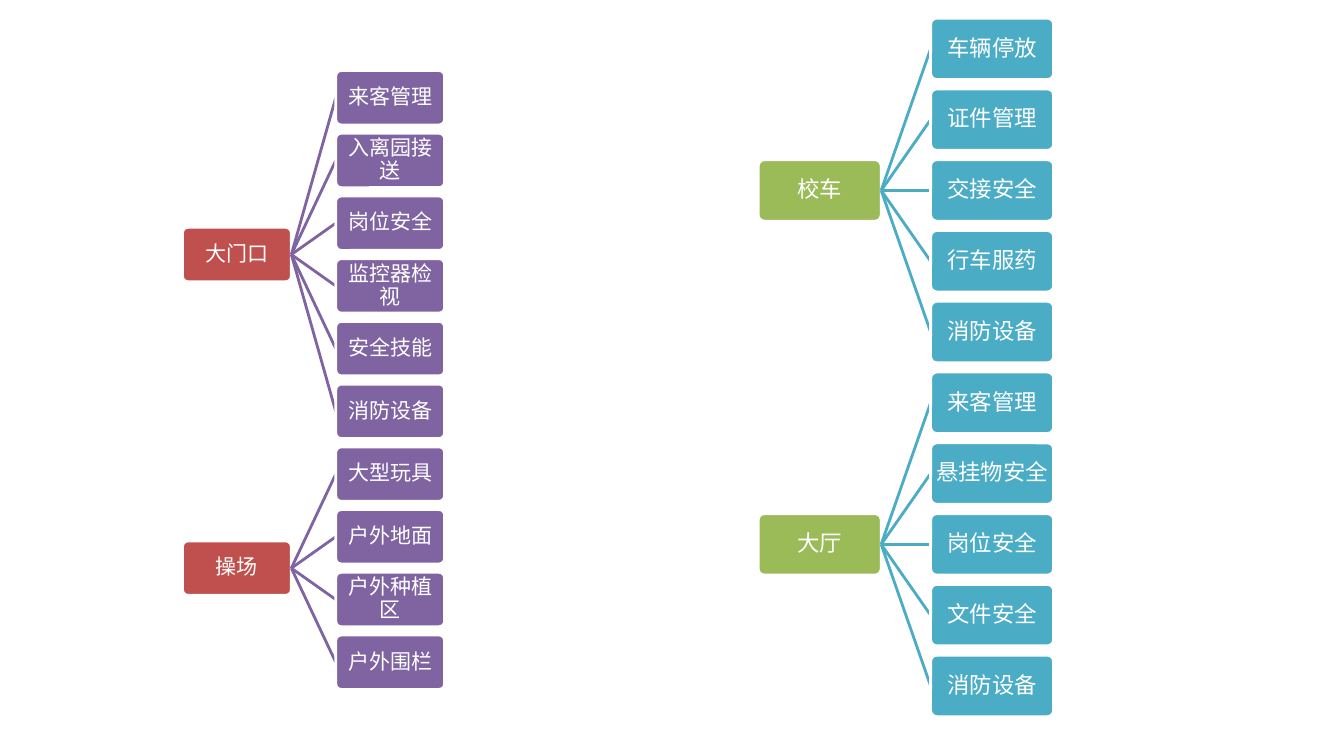
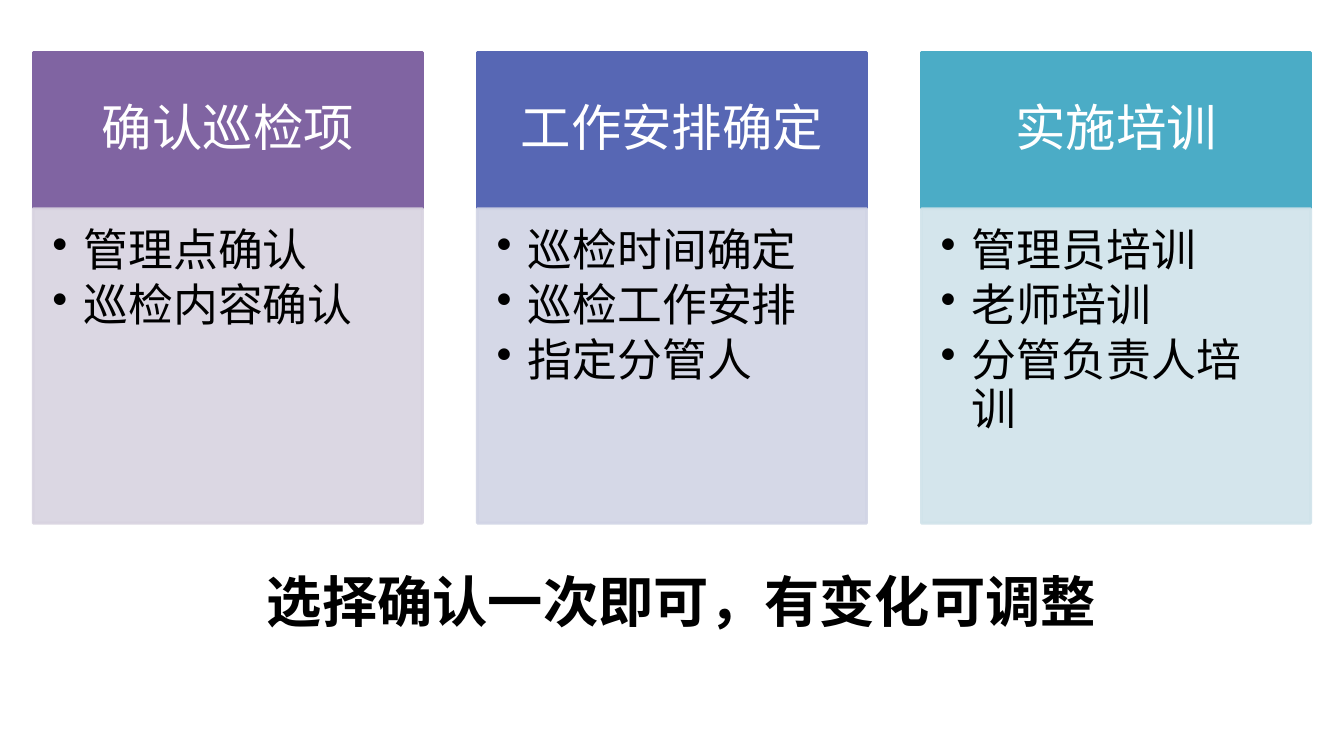
from dataclasses import dataclass

from lxml.etree import SubElement
from pptx import Presentation
from pptx.dml.color import RGBColor
from pptx.enum.shapes import MSO_CONNECTOR, MSO_SHAPE
from pptx.enum.text import MSO_ANCHOR, PP_ALIGN
from pptx.oxml.ns import qn
from pptx.util import Inches, Pt


@dataclass(frozen=True)
class Theme:
    white: str = "FFFFFF"
    black: str = "000000"
    red: str = "C0504D"
    green: str = "9BBB59"
    purple: str = "8064A2"
    indigo: str = "5767B4"
    teal: str = "4BACC6"
    pale_purple: str = "D8D3E0"
    pale_indigo: str = "D1D4E5"
    pale_teal: str = "D0E3EA"
    font: str = "Calibri"
    closing_font: str = "Noto Sans CJK SC"
    heading_size: float = 36
    body_size: float = 32
    closing_size: float = 39.5
    line_width: float = 2


T = Theme()

# Content: areas with their inspection points (lengths in inches)
TREES = [
    dict(root_x=1.81, leaf_x=3.33, first_y=0.7, last_y=6.3, w=1.08, h=0.54,
         size=15, root_color=T.red, leaf_color=T.purple,
         areas=[("大门口", ["来客管理", "入离园接送", "岗位安全",
                         "监控器检视", "安全技能", "消防设备"]),
                ("操场", ["大型玩具", "户外地面", "户外种植区", "户外围栏"])]),
    dict(root_x=7.52, leaf_x=9.23, first_y=0.18, last_y=6.5, w=1.22, h=0.61,
         size=16, root_color=T.green, leaf_color=T.teal,
         areas=[("校车", ["车辆停放", "证件管理", "交接安全", "行车服药", "消防设备"]),
                ("大厅", ["来客管理", "悬挂物安全", "岗位安全", "文件安全", "消防设备"])]),
]

# Content: preparation steps
STEPS = [
    ("确认巡检项", T.purple, T.pale_purple, ["管理点确认", "巡检内容确认"]),
    ("工作安排确定", T.indigo, T.pale_indigo,
     ["巡检时间确定", "巡检工作安排", "指定分管人"]),
    ("实施培训", T.teal, T.pale_teal,
     ["管理员培训", "老师培训", "分管负责人培训"]),
]
CLOSING = "选择确认一次即可，有变化可调整"


def rgb(color):
    return RGBColor.from_string(color)


def add_box(s, kind, at, fill, line):
    sp = s.shapes.add_shape(kind, *map(Inches, at))
    sp.shadow.inherit = False
    sp.fill.solid()
    sp.fill.fore_color.rgb = rgb(fill)
    sp.line.color.rgb = rgb(line)
    sp.line.width = Pt(T.line_width)
    return sp


def set_frame(sp, insets, anchor):
    tf = sp.text_frame
    tf.word_wrap = True
    tf.vertical_anchor = anchor
    tf.margin_left, tf.margin_top, tf.margin_right, tf.margin_bottom = map(
        Inches, insets)
    return tf


def write(p, text, size, color, font=T.font, align=PP_ALIGN.CENTER,
          spacing=0.9, bold=False):
    p.alignment = align
    p.line_spacing = spacing
    r = p.add_run()
    r.text = text
    r.font.size = Pt(size)
    r.font.bold = bold
    r.font.color.rgb = rgb(color)
    r.font.name = font
    SubElement(r.font._element, qn("a:ea"), typeface=font)


def add_bullet(p, indent):
    pPr = p._p.get_or_add_pPr()
    pPr.set("marL", str(Inches(indent)))
    pPr.set("indent", str(-Inches(indent)))
    SubElement(pPr, qn("a:buChar"), char="•")


def set_opacity(sp, percent):
    for clr in sp._element.spPr.iter(qn("a:srgbClr")):
        SubElement(clr, qn("a:alpha"), val=str(percent * 1000))


def add_link(s, x1, y1, x2, y2, color):
    ln = s.shapes.add_connector(MSO_CONNECTOR.STRAIGHT,
                                *map(Inches, (x1, y1, x2, y2)))
    ln.line.color.rgb = rgb(color)
    ln.line.width = Pt(T.line_width)
    SubElement(ln._element.spPr, qn("a:effectLst"))


def add_node(s, text, x, y, tree, color):
    sp = add_box(s, MSO_SHAPE.ROUNDED_RECTANGLE, (x, y, tree["w"], tree["h"]),
                 color, T.white)
    sp.adjustments[0] = 0.1
    tf = set_frame(sp, (0.01,) * 4, MSO_ANCHOR.MIDDLE)
    write(tf.paragraphs[0], text, tree["size"], T.white)


def add_tree(s, tree):
    count = sum(len(points) for _, points in tree["areas"])
    pitch = (tree["last_y"] - tree["first_y"]) / (count - 1)
    y, half = tree["first_y"], tree["h"] / 2
    for area, points in tree["areas"]:
        # Each root is centred on its own leaves
        root_y = y + pitch * (len(points) - 1) / 2
        add_node(s, area, tree["root_x"], root_y, tree, tree["root_color"])
        for point in points:
            add_link(s, tree["root_x"] + tree["w"], root_y + half,
                     tree["leaf_x"], y + half, tree["leaf_color"])
            add_node(s, point, tree["leaf_x"], y, tree, tree["leaf_color"])
            y += pitch


def add_step(s, x, heading, color, pale, items):
    top, w, head_h, body_h = 0.52, 3.89, 1.55, 3.14
    w, body_h = 3.86, 3.12
    head = add_box(s, MSO_SHAPE.RECTANGLE, (x, top, w, head_h), color, color)
    tf = set_frame(head, (0.28, 0.16, 0.28, 0.16), MSO_ANCHOR.MIDDLE)
    write(tf.paragraphs[0], heading, T.heading_size, T.white)

    body = add_box(s, MSO_SHAPE.RECTANGLE, (x, top + head_h, w, body_h),
                   pale, pale)
    set_opacity(body, 90)
    tf = set_frame(body, (0.19, 0.19, 0.25, 0.28), MSO_ANCHOR.TOP)
    for i, item in enumerate(items):
        p = tf.add_paragraph() if i else tf.paragraphs[0]
        write(p, item, T.body_size, T.black, align=PP_ALIGN.LEFT)
        p.space_after = Pt(T.body_size * 0.15)
        add_bullet(p, 0.31)


prs = Presentation()
prs.slide_width, prs.slide_height = Inches(13.33), Inches(7.5)
blank = prs.slide_layouts[6]

# Slide 1: inspection points by area
s = prs.slides.add_slide(blank)
for tree in TREES:
    add_tree(s, tree)

# Slide 2: three preparation steps and a closing line
s = prs.slides.add_slide(blank)
first_x, last_x = 0.33, 9.14
step_pitch = (last_x - first_x) / (len(STEPS) - 1)
for i, step in enumerate(STEPS):
    add_step(s, first_x + i * step_pitch, *step)
closing = s.shapes.add_textbox(*map(Inches, (2.43, 5.41, 8.66, 0.9)))
tf = set_frame(closing, (0.1, 0.05, 0.1, 0.05), MSO_ANCHOR.MIDDLE)
write(tf.paragraphs[0], CLOSING, T.closing_size, T.black, T.closing_font,
      spacing=1.3, bold=True)

prs.save("out.pptx")
